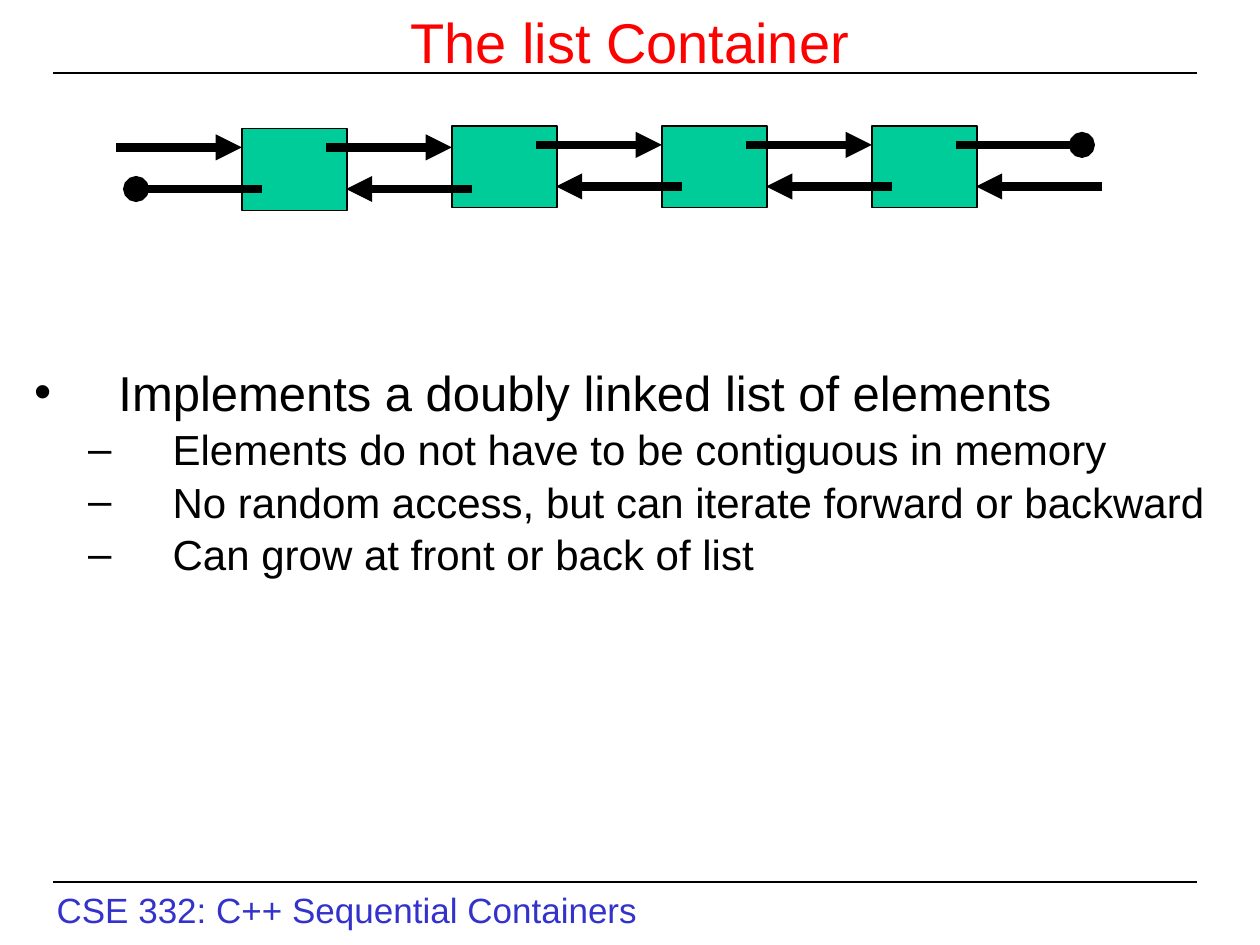
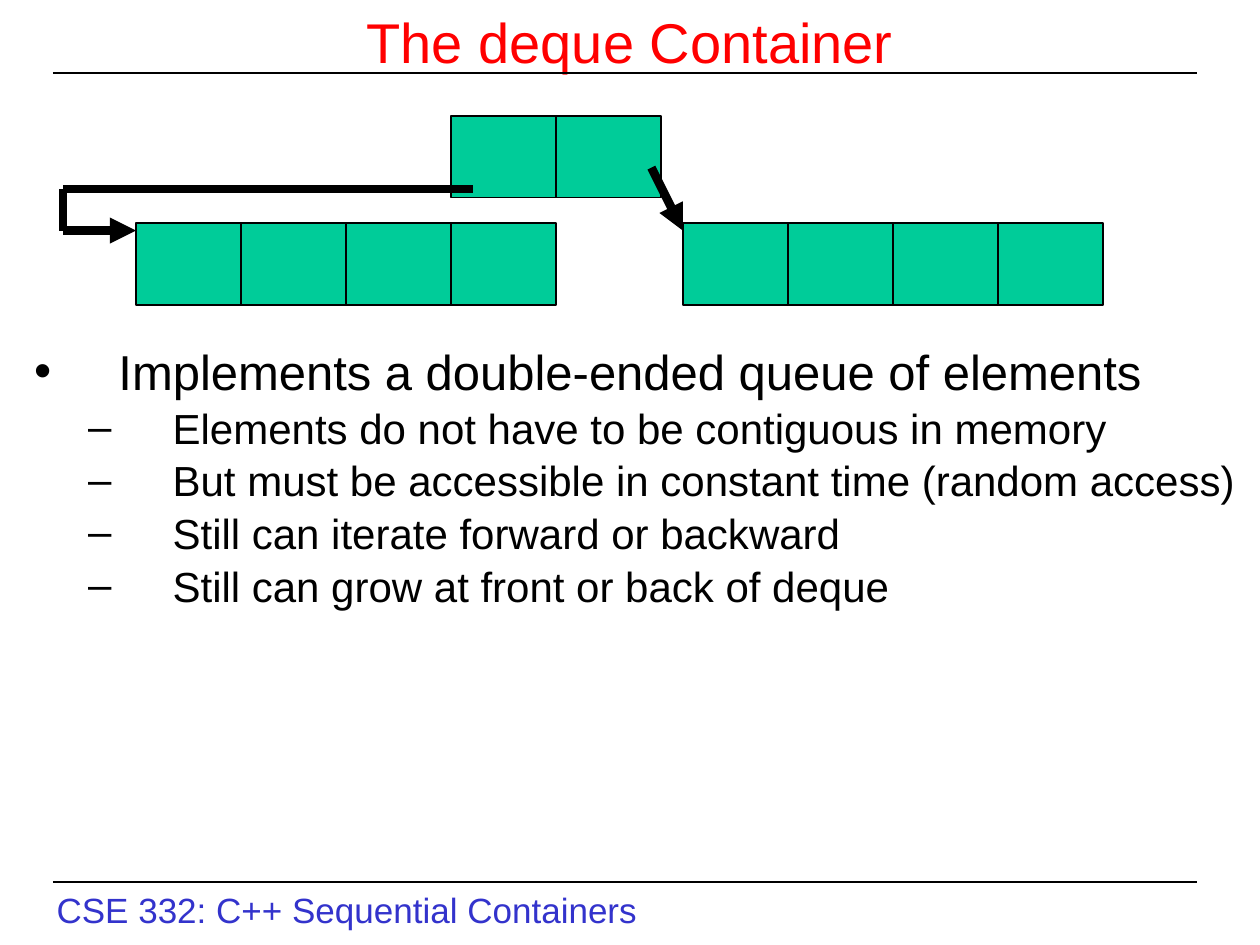
import pptx
import pptx.util
import pptx.dml.color
import pptx.enum.shapes
import pptx.enum.text
import pptx.oxml.ns
import lxml.etree

Inches = pptx.util.Inches
Pt = pptx.util.Pt
qn = pptx.oxml.ns.qn
sub = lxml.etree.SubElement
kinds = pptx.enum.shapes
texts = pptx.enum.text

hues = {"title": "FF0000", "foot": "3333CC", "ink": "000000", "cell": "00CC99"}
hues = {name: pptx.dml.color.RGBColor.from_string(code) for name, code in hues.items()}

cell = 5 / 6
step = 2 * cell


def write(para, words, size, hue):
    run = para.add_run()
    run.text = words
    run.font.name = "Arial"
    run.font.size = Pt(size)
    run.font.color.rgb = hues[hue]


def link(slide, start, end, width=5, head=None, tail=None):
    points = [Inches(n) for n in (*start, *end)]
    line = slide.shapes.add_connector(kinds.MSO_CONNECTOR.STRAIGHT, *points)
    line.line.color.rgb = hues["ink"]
    line.line.width = Pt(width)
    stroke = line.line._get_or_add_ln()
    for tag, kind in (("a:headEnd", head), ("a:tailEnd", tail)):
        if kind:
            sub(stroke, qn(tag), type=kind)
    sub(line._element.spPr, qn("a:effectLst"))


nodes = [(1.92 + k * step, 1 if k else 1.02) for k in range(4)]
chain = []
for k in range(5):
    drop = 0.02 if k < 2 else 0
    left, back = 0.92 + k * step, 1.08 + k * step
    chain.append(((left, 1.15 + drop), (left + 1, 1.15 + drop), 5,
                  None, "triangle" if k < 4 else "oval"))
    chain.append(((back, 1.48 + drop), (back + 1, 1.48 + drop), 5,
                  "triangle" if k else "oval", None))

blocks = [(left + k * cell, top)
          for left, top, count in ((3.58, 0.92, 2), (5.42, 1.77, 4), (1.08, 1.77, 4))
          for k in range(count)]
paths = [
    ((5.17, 1.33), (5.42, 1.83), 5, None, "triangle"),
    ((3.75, 1.5), (0.5, 1.5)),
    ((0.5, 1.83), (1.08, 1.83), 5, None, "triangle"),
    ((0.5, 1.83), (0.5, 1.5)),
]

pages = [
    ("The list Container", 2.92, 2.25, nodes, chain, [
        "Implements a doubly linked list of elements",
        "Elements do not have to be contiguous in memory",
        "No random access, but can iterate forward or backward",
        "Can grow at front or back of list",
    ]),
    ("The deque Container", 2.75, 4.08, blocks, paths, [
        "Implements a double-ended queue of elements",
        "Elements do not have to be contiguous in memory",
        "But must be accessible in constant time (random access)",
        "Still can iterate forward or backward",
        "Still can grow at front or back of deque",
    ]),
]

deck = pptx.Presentation()
deck.slide_width, deck.slide_height = Inches(10), Inches(7.5)

for name, top, height, boxes, links, points in pages:
    slide = deck.slides.add_slide(deck.slide_layouts[1])
    title, body = slide.placeholders
    foot = slide.shapes.add_textbox(Inches(0.35), Inches(7), Inches(4.81), Inches(0.44))
    foot.text_frame.word_wrap = False
    write(foot.text_frame.paragraphs[0], "CSE 332: C++ Sequential Containers", 20, "foot")
    for y in (7, 0.58):
        link(slide, (0.42, y), (9.5, y), 0.75)

    title.left, title.top = Inches(0.75), Inches(0.08)
    title.width, title.height = Inches(8.5), Inches(0.5)
    body.left, body.top = Inches(0.17), Inches(top)
    body.width, body.height = Inches(9.75), Inches(height)
    for holder in (title, body):
        holder.text_frame.auto_size = texts.MSO_AUTO_SIZE.NONE
    title.text_frame.vertical_anchor = texts.MSO_ANCHOR.MIDDLE
    head = title.text_frame.paragraphs[0]
    head.alignment = texts.PP_ALIGN.CENTER
    write(head, name, 32, "title")

    for k, words in enumerate(points):
        para = body.text_frame.add_paragraph() if k else body.text_frame.paragraphs[0]
        level, size, indent, mark = (1, 24, 1.1, "–") if k else (0, 28, 0.67, "•")
        para.level = level
        para.line_spacing = 0.8
        para.space_before = Pt(7)
        props = para._p.get_or_add_pPr()
        props.set("marL", str(Inches(indent)))
        props.set("indent", str(Inches(-0.67)))
        sub(props, qn("a:buChar"), char=mark)
        write(para, words, size, "ink")

    for left, y in boxes:
        box = slide.shapes.add_shape(kinds.MSO_SHAPE.RECTANGLE, Inches(left), Inches(y),
                                     Inches(cell), Inches(0.65))
        box.shadow.inherit = False
        box.fill.solid()
        box.fill.fore_color.rgb = hues["cell"]
        box.line.color.rgb = hues["ink"]
        box.line.width = Pt(0.75)
    for item in links:
        link(slide, *item)

deck.save("out.pptx")
